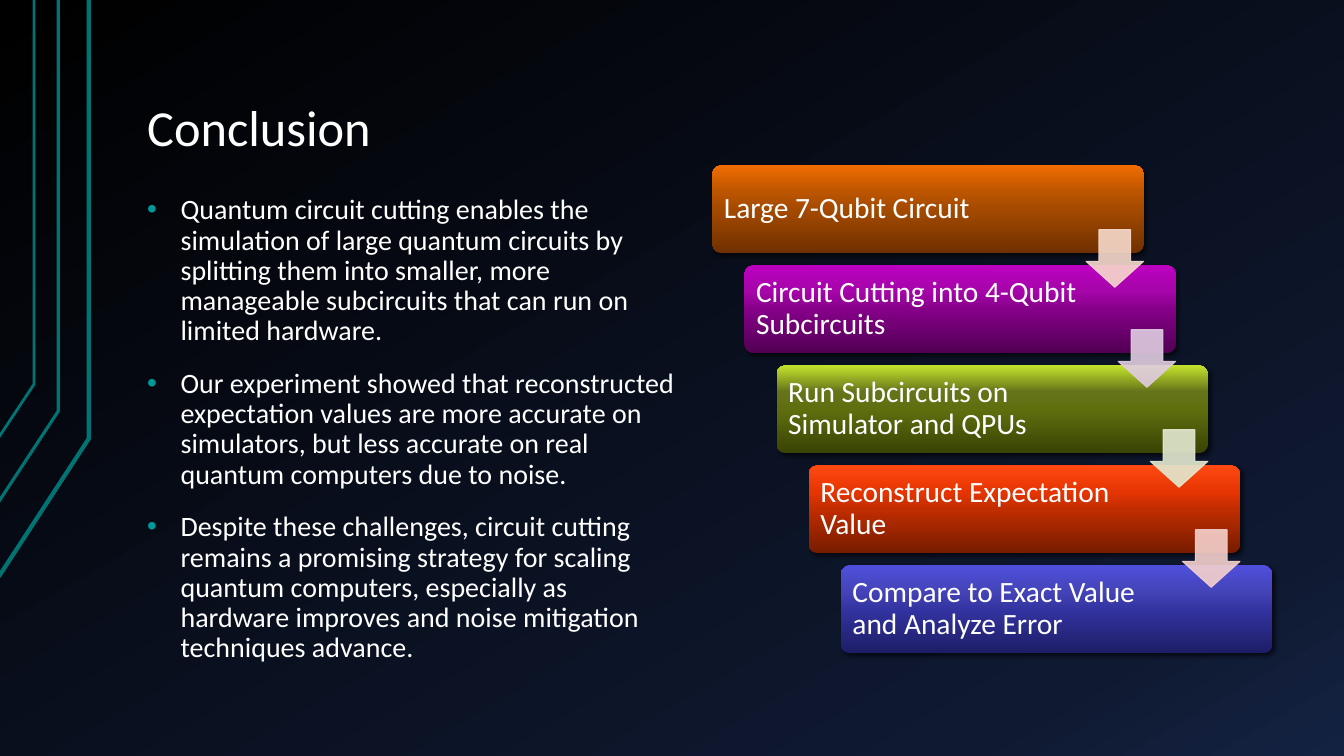
from lxml import etree
from pptx import Presentation
from pptx.dml.color import RGBColor
from pptx.enum.shapes import MSO_SHAPE
from pptx.enum.text import MSO_ANCHOR, MSO_AUTO_SIZE, PP_ALIGN
from pptx.oxml.ns import qn
from pptx.util import Cm, Pt

ROUND_RECT, DOWN_ARROW = MSO_SHAPE.ROUNDED_RECTANGLE, MSO_SHAPE.DOWN_ARROW
TOP, MIDDLE, BOTTOM = MSO_ANCHOR.TOP, MSO_ANCHOR.MIDDLE, MSO_ANCHOR.BOTTOM
LEFT, NO_FIT = PP_ALIGN.LEFT, MSO_AUTO_SIZE.NONE

# Content
TITLE = "Conclusion"
BULLETS = [
    "Quantum circuit cutting enables the simulation of large quantum circuits by "
    "splitting them into smaller, more manageable subcircuits that can run on "
    "limited hardware.",
    "Our experiment showed that reconstructed expectation values are more accurate "
    "on simulators, but less accurate on real quantum computers due to noise.",
    "Despite these challenges, circuit cutting remains a promising strategy for "
    "scaling quantum computers, especially as hardware improves and noise "
    "mitigation techniques advance.",
]
# Step text, gradient colours from bottom to top, colour of the arrow that follows
STEPS = [
    ("Large 7-Qubit Circuit", ("703000", "A44A00", "BC5500", "F26D00"), "F7DACC"),
    ("Circuit Cutting into 4-Qubit Subcircuits",
     ("520054", "850088", "A505A9", "BC00C0"), "E0CCE1"),
    ("Run Subcircuits on Simulator and QPUs",
     ("394404", "5F6F0F", "65741A", "C4E32D"), "E3E9D0"),
    ("Reconstruct Expectation Value",
     ("771C00", "C02D00", "E63503", "FF4911"), "F5D1CD"),
    ("Compare to Exact Value and Analyze Error",
     ("1D1D66", "3333A1", "4444B8", "4F4FDD"), None),
]
STEP_STOPS = (0, 50, 70, 100)
BACKGROUND = [(0, "000000"), (85, "0F1931"), (100, "142242")]
COLORS = {"text": "FFFFFF", "bullet": "009999", "trace": "007373", "shadow": "000000"}
FONT = "Calibri"

# Circuit traces: points in cm, line width in points
TRACES = [
    ([(-0.03, 14.53), (2.24, 11.05), (2.24, 0)], 3),
    ([(-0.05, 12.67), (1.47, 10.36), (1.47, 0)], 2.25),
    ([(-0.03, 11.02), (0.86, 9.68), (0.86, 0)], 2),
]

# Staircase geometry in cm
BOX_X, BOX_Y, BOX_W, BOX_H = 17.95, 4.17, 10.87, 2.21
STEP_X, STEP_Y = 0.81, 2.52
ARROW_X, ARROW_Y, ARROW_SIZE = 9.42, 1.62, 1.45


def add_xml(parent, tag, **attrs):
    return etree.SubElement(parent, qn(tag), {k: str(v) for k, v in attrs.items()})


def add_color(parent, color, alpha=None):
    clr = add_xml(parent, "a:srgbClr", val=color)
    if alpha:
        add_xml(clr, "a:alpha", val=alpha * 1000)


def set_gradient(fill, element, stops, angle):
    fill.gradient()
    fill.gradient_angle = angle
    gs_list = element.find(".//" + qn("a:gsLst"))
    for gs in list(gs_list):
        gs_list.remove(gs)
    for pos, color in stops:
        add_color(add_xml(gs_list, "a:gs", pos=pos * 1000), color)


def set_text(sp, lines, size, anchor=TOP, insets=(0.33, 0.18, 0.33, 0.18),
             before=0, bullet=False):
    tf = sp.text_frame
    tf.word_wrap = True
    tf.auto_size = NO_FIT
    tf.vertical_anchor = anchor
    tf.margin_left, tf.margin_top, tf.margin_right, tf.margin_bottom = map(Cm, insets)
    for i, line in enumerate(lines):
        p = tf.paragraphs[0] if i == 0 else tf.add_paragraph()
        p.alignment = LEFT
        p.line_spacing = 0.9
        p.space_before = Pt(before)
        r = p.add_run()
        r.text = line
        r.font.name = FONT
        r.font.size = Pt(size)
        r.font.color.rgb = RGBColor.from_string(COLORS["text"])
        if bullet:
            pPr = p._p.get_or_add_pPr()
            pPr.set("marL", str(Cm(0.84)))
            pPr.set("indent", str(Cm(-0.84)))
            add_color(add_xml(pPr, "a:buClr"), COLORS["bullet"])
            add_xml(pPr, "a:buFont", typeface="Arial")
            add_xml(pPr, "a:buChar", char="•")


def place(sp, x, y, w, h):
    sp.left, sp.top, sp.width, sp.height = Cm(x), Cm(y), Cm(w), Cm(h)


def add_step(s, x, y, text, colors):
    sp = s.shapes.add_shape(ROUND_RECT, Cm(x), Cm(y), Cm(BOX_W), Cm(BOX_H))
    sp.adjustments[0] = 0.1
    set_gradient(sp.fill, sp.element, zip(STEP_STOPS, colors), 90)
    sp.line.fill.background()
    sp.shadow.inherit = False
    effects = sp.element.spPr.find(qn("a:effectLst"))
    shadow = add_xml(effects, "a:outerShdw", blurRad=Pt(3), dist=Pt(2),
                     dir=45 * 60000, algn="ctr", rotWithShape=0)
    add_color(shadow, COLORS["shadow"], 60)
    set_text(sp, [text], 21, anchor=MIDDLE, insets=(0.23, 0.23, 2.43, 0.23))


def add_arrow(s, x, y, color):
    sp = s.shapes.add_shape(DOWN_ARROW, Cm(x), Cm(y), Cm(ARROW_SIZE), Cm(ARROW_SIZE))
    sp.adjustments[0], sp.adjustments[1] = 0.55, 0.45
    sp.shadow.inherit = False
    sp.fill.solid()
    sp.fill.fore_color.rgb = RGBColor.from_string(color)
    sp.line.color.rgb = RGBColor.from_string(color)
    sp.line.width = Pt(0.75)
    for clr in sp.element.spPr.iter(qn("a:srgbClr")):
        add_xml(clr, "a:alpha", val=90000)


def main():
    prs = Presentation()
    prs.slide_width, prs.slide_height = Cm(33.87), Cm(19.05)
    s = prs.slides.add_slide(prs.slide_layouts[1])
    set_gradient(s.background.fill, s.element, BACKGROUND, 300)

    # Circuit traces at the left edge
    for points, width in TRACES:
        (x0, y0), *rest = [(Cm(x), Cm(y)) for x, y in points]
        builder = s.shapes.build_freeform(x0, y0)
        builder.add_line_segments(rest, close=False)
        sp = builder.convert_to_shape()
        sp.fill.background()
        sp.line.color.rgb = RGBColor.from_string(COLORS["trace"])
        sp.line.width = Pt(width)
        sp.shadow.inherit = False

    # Title and bullets
    title, body = s.shapes.title, s.placeholders[1]
    place(title, 3.38, 0.76, 28.78, 3.4)
    set_text(title, [TITLE], 36, anchor=BOTTOM)
    place(body, 3.38, 4.75, 14.1, 12.4)
    set_text(body, BULLETS, 20, before=16, bullet=True)

    # Staircase of steps, then the arrows on top
    corners = [(BOX_X + i * STEP_X, BOX_Y + i * STEP_Y) for i in range(len(STEPS))]
    for (x, y), (text, colors, _) in zip(corners, STEPS):
        add_step(s, x, y, text, colors)
    for (x, y), (_, _, arrow) in zip(corners, STEPS):
        if arrow:
            add_arrow(s, x + ARROW_X, y + ARROW_Y, arrow)

    prs.save("out.pptx")


if __name__ == "__main__":
    main()
